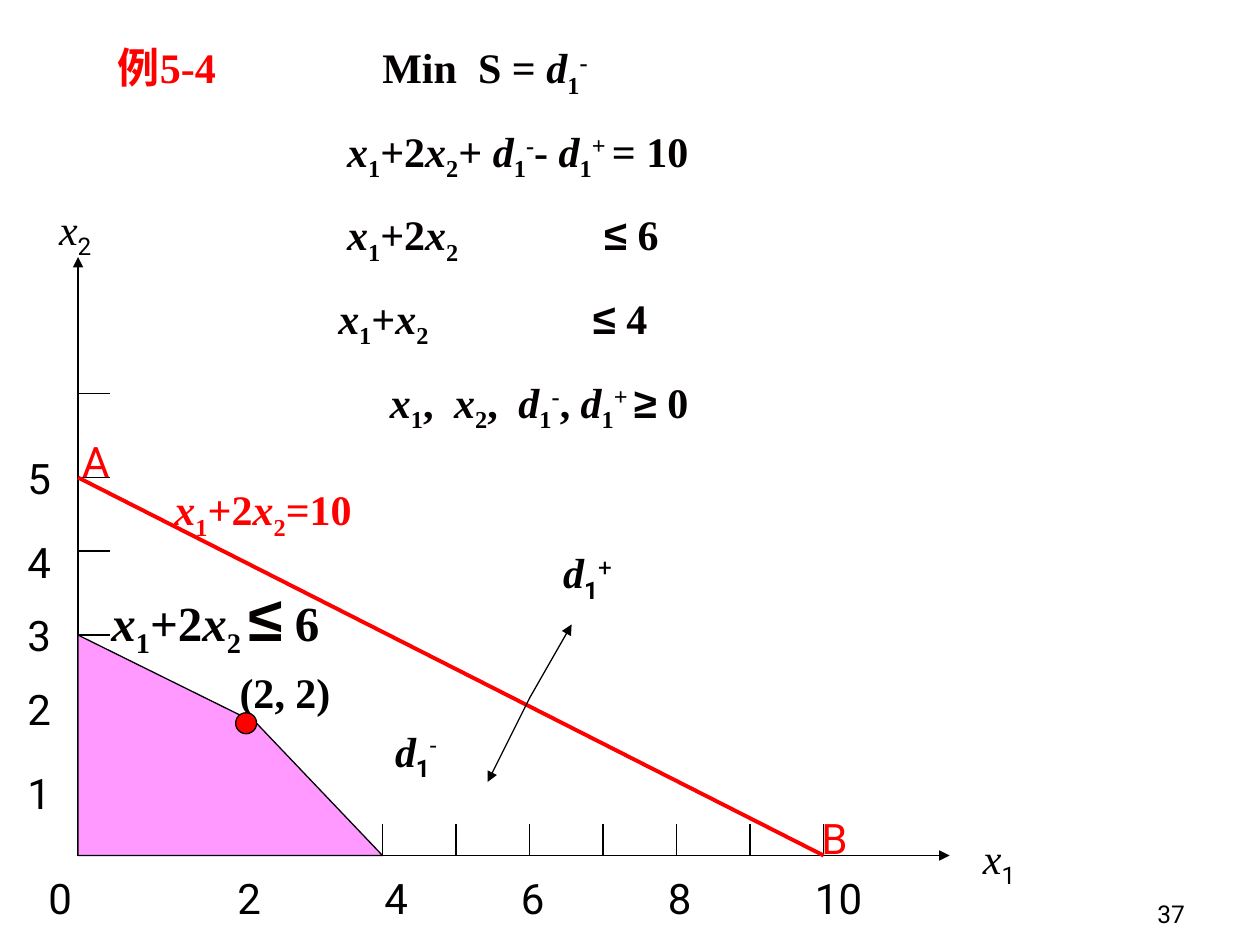
from lxml import etree
from pptx import Presentation
from pptx.dml.color import RGBColor
from pptx.enum.shapes import MSO_CONNECTOR, MSO_SHAPE
from pptx.enum.text import MSO_ANCHOR, PP_ALIGN
from pptx.oxml.ns import qn
from pptx.util import Inches, Pt

STRAIGHT, OVAL = MSO_CONNECTOR.STRAIGHT, MSO_SHAPE.OVAL
BOTTOM, LEFT, RIGHT = MSO_ANCHOR.BOTTOM, PP_ALIGN.LEFT, PP_ALIGN.RIGHT
COLORS = {"black": "000000", "ink": "040000", "red": "FF0000", "pink": "FF99FF"}
SANS, SERIF, SYMBOL = "Roboto", "Times New Roman", "Arial"
UNIT, LEFT_EDGE, BASE = 1 / 12, 0.62, 6.79
BASELINES = {"_": "-25000", "^": "30000"}


class Graph:
    """Draws on a slide in grid units counted right and down from the axes' origin."""

    def __init__(self, prs):
        self.shapes = prs.slides.add_slide(prs.slide_layouts[6]).shapes

    def x(self, col):
        return Inches(LEFT_EDGE + col * UNIT)

    def y(self, row):
        return Inches(BASE + row * UNIT)

    def color(self, name):
        return RGBColor.from_string(COLORS[name])

    def line(self, start, end, color="black", width=0.75, arrow=False):
        sp = self.shapes.add_connector(
            STRAIGHT, self.x(start[0]), self.y(start[1]), self.x(end[0]), self.y(end[1]))
        sp.line.color.rgb = self.color(color)
        sp.line.width = Pt(width)
        if arrow:
            etree.SubElement(sp.line._get_or_add_ln(), qn("a:tailEnd"), type="triangle")
        etree.SubElement(sp._element.spPr, qn("a:effectLst"))

    def paint(self, sp, fill):
        sp.shadow.inherit = False
        sp.fill.solid()
        sp.fill.fore_color.rgb = self.color(fill)
        sp.line.color.rgb = self.color("black")
        sp.line.width = Pt(0.75)

    def area(self, points, fill):
        start, *rest = [(self.x(c), self.y(r)) for c, r in points]
        builder = self.shapes.build_freeform(*start)
        builder.add_line_segments(rest, close=True)
        self.paint(builder.convert_to_shape(), fill)

    def dot(self, col, row, size, fill):
        sp = self.shapes.add_shape(
            OVAL, self.x(col), self.y(row), Inches(size * UNIT), Inches(size * UNIT))
        self.paint(sp, fill)

    def text(self, col, row, width, text, height=6, **style):
        return self.paragraphs(col, row, width, height, [(text, ())], **style)

    def paragraphs(self, col, row, width, height, lines, **style):
        tf = self.shapes.add_textbox(
            self.x(col), self.y(row), Inches(width * UNIT), Inches(height * UNIT)).text_frame
        tf.word_wrap = True
        for i, (text, tabs) in enumerate(lines):
            p = tf.add_paragraph() if i else tf.paragraphs[0]
            self.fill_paragraph(p, text, tabs, **style)
            if i:
                p.space_before = Pt(15)
        return tf

    def fill_paragraph(self, p, text, tabs, font=SANS, size=24, color="black",
                       bold=False, index_font=None, symbol_size=None, align=LEFT):
        p.alignment = align
        if tabs:
            tab_list = etree.SubElement(p._p.get_or_add_pPr(), qn("a:tabLst"))
            for tab in tabs:
                etree.SubElement(tab_list, qn("a:tab"), pos=str(Inches(tab)), algn="l")
        p.font.name, p.font.size, p.font.bold = font, Pt(size), bold
        p.font.color.rgb = self.color(color)
        for part in text.split("|"):
            mark = part[0] if part[0] in "/_^~!" else ""
            r = p.add_run()
            r.text = part[len(mark):]
            if mark == "/":
                r.font.italic = True
            elif mark in BASELINES:
                r._r.get_or_add_rPr().set("baseline", BASELINES[mark])
                if index_font:
                    r.font.name = index_font
                    r.font.bold = bold and mark == "_"
            elif mark == "~":
                r.font.name = SYMBOL
                r.font.size = Pt(symbol_size or size)
            elif mark == "!":
                r.font.color.rgb = self.color("red")


def main():
    prs = Presentation()
    prs.slide_width, prs.slide_height = Inches(10), Inches(7.5)
    g = Graph(prs)

    g.line((0, 0), (83, 0), arrow=True)
    g.line((0, 0), (0, -57), arrow=True)
    for k in range(1, 11):
        col = 7 * k + (k > 3)
        g.line((col, 0), (col, -3))
    for k in range(1, 7):
        row = -7 * k - (k > 3) - (k > 5)
        g.line((0, row), (3, row))
    for i, col in enumerate((-4, 14, 28, 41, 55, 69)):
        g.text(col, 1, 7 if i == 5 else 5, str(2 * i))
    for i, row in enumerate((-9, -17, -24, -31, -39), 1):
        g.text(-6, row, 5, str(i))

    g.area([(0, -21), (0, 0), (29, 0), (17, -12.6)], "pink")
    g.line((0, -36), (71, 0), "red", 2.25)
    for end in ((39, -7), (47, -22)):
        g.line((43, -15), end, arrow=True)

    formula = {"font": SERIF, "bold": True}
    g.text(8, -36, 43, "/x|_1|+2|/x|_2|=10", color="red", **formula)
    for col, row, sign in ((45, -30, "+"), (29, -13, "-")):
        g.text(col, row, 10, f"/d|_1|^{sign}", index_font=SANS, **formula)
    g.text(-0.8, -40.6, 8, "A", color="red")
    g.text(69.6, -4.7, 8, "B", color="red")
    g.text(2, -27, 30, "/x|_1|+2|/x|_2 |~≤| 6", height=9, size=28,
           symbol_size=36, color="ink", **formula)
    g.text(85, -2.8, 7, "/x|_1", font=SERIF, index_font=SANS)
    g.text(-3, -62.7, 8, "/x|_2", font=SERIF, index_font=SANS)

    g.paragraphs(2.6, -78.1, 103, 38.5, [
        ("!例5-4|\tMin\tS = |/d|_1|^-", (2.1, 2.86)),
        ("\t|/x|_1|+2|/x|_2|+ |/d|_1|^-|- |/d|_1|^+ |= 10", (1.82,)),
        ("\t|/x|_1|+2|/x|_2|\t|~≤| 6", (1.82, 3.86)),
        ("\t|/x|_1|+|/x|_2|\t|~≤| 4", (1.75, 3.77)),
        ("\t|/x|_1|,\t|/x|_2|,\t|/d|_1|^-|, |/d|_1|^+ |~≥| 0", (2.16, 2.67, 3.18)),
    ], color="ink", **formula)
    g.text(14.2, -18.6, 12, "(2, 2)", **formula)
    g.dot(15, -13.6, 2, "red")
    g.text(81.6, 1.5, 25, "37", size=14, align=RIGHT).vertical_anchor = BOTTOM

    prs.save("out.pptx")


if __name__ == "__main__":
    main()
